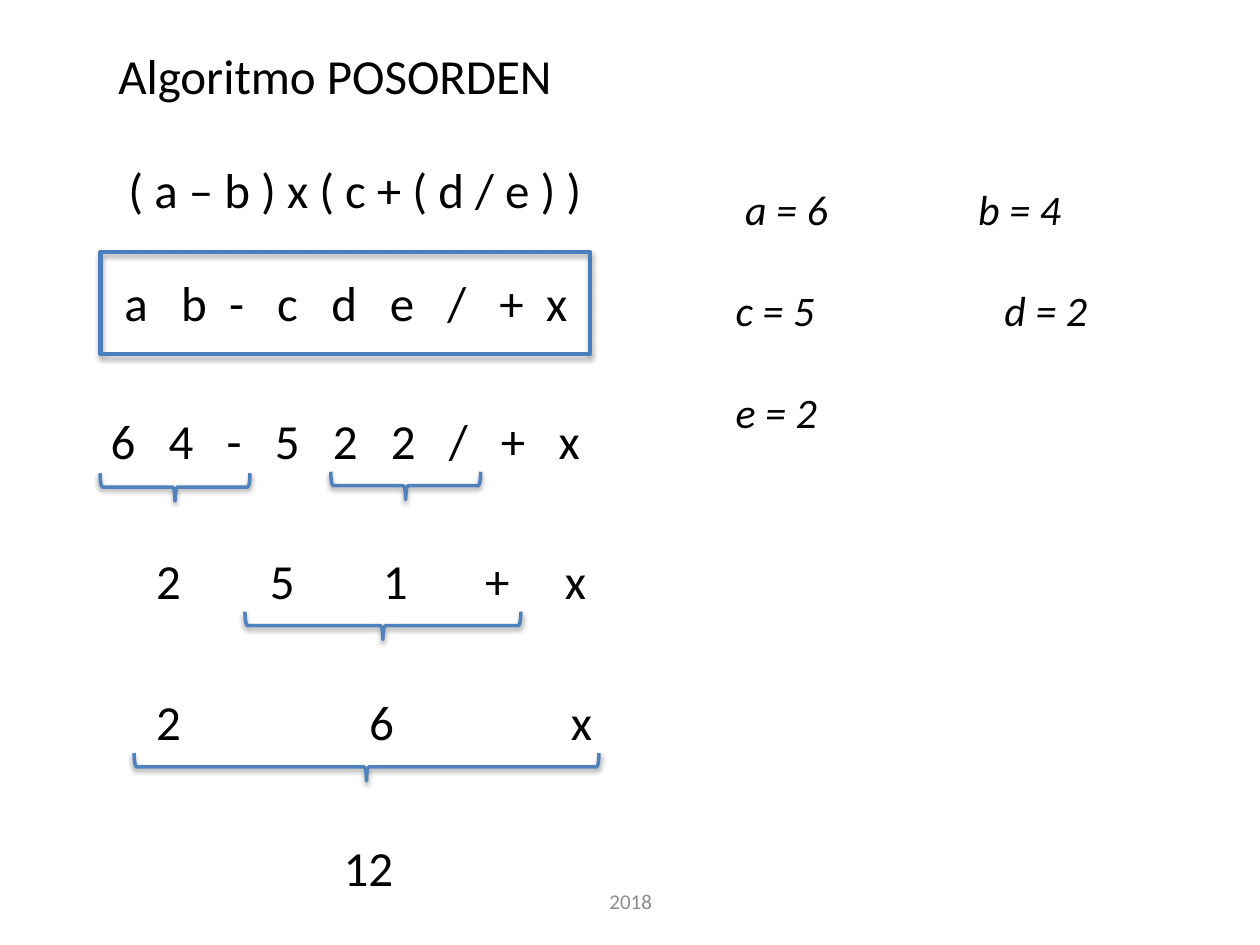
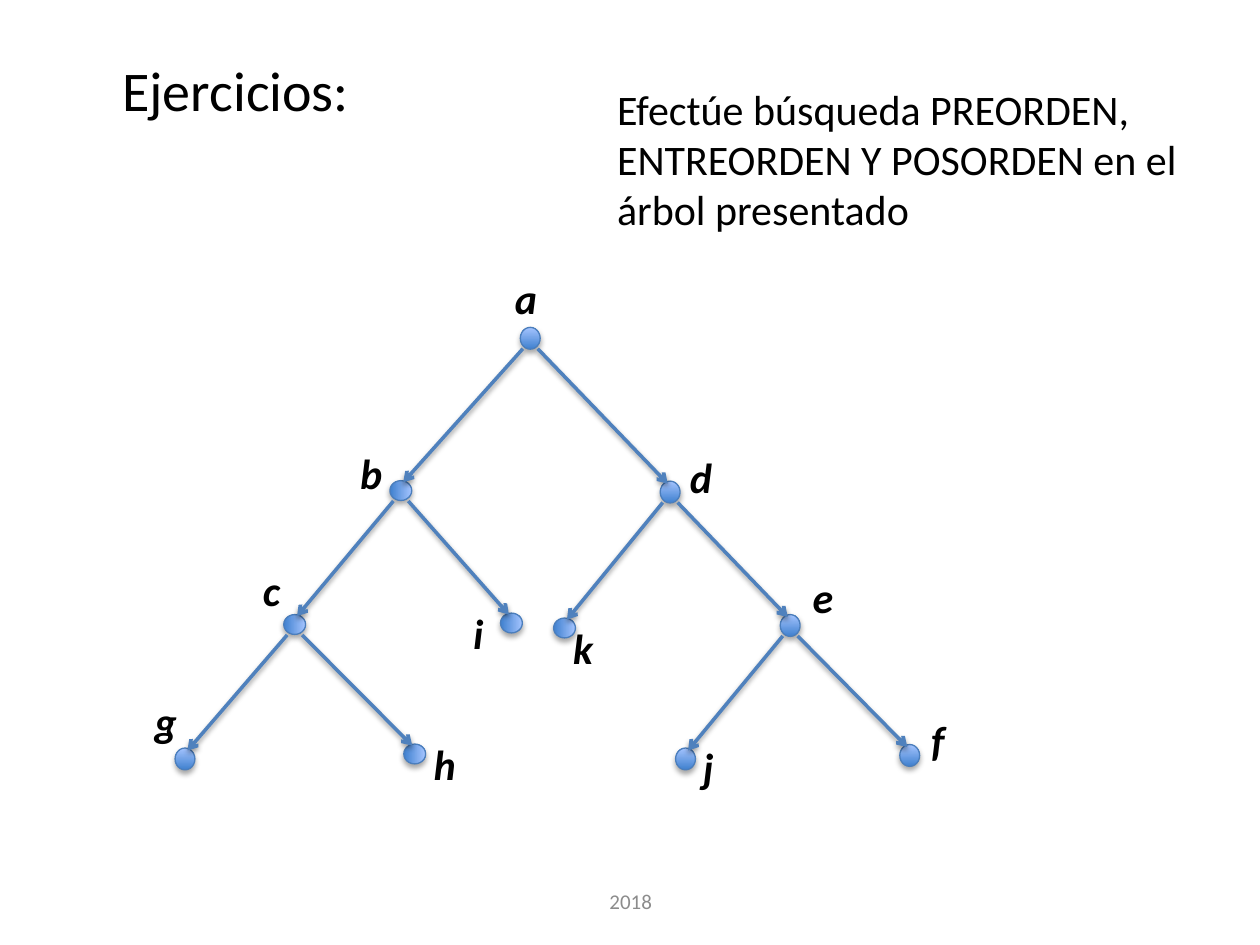
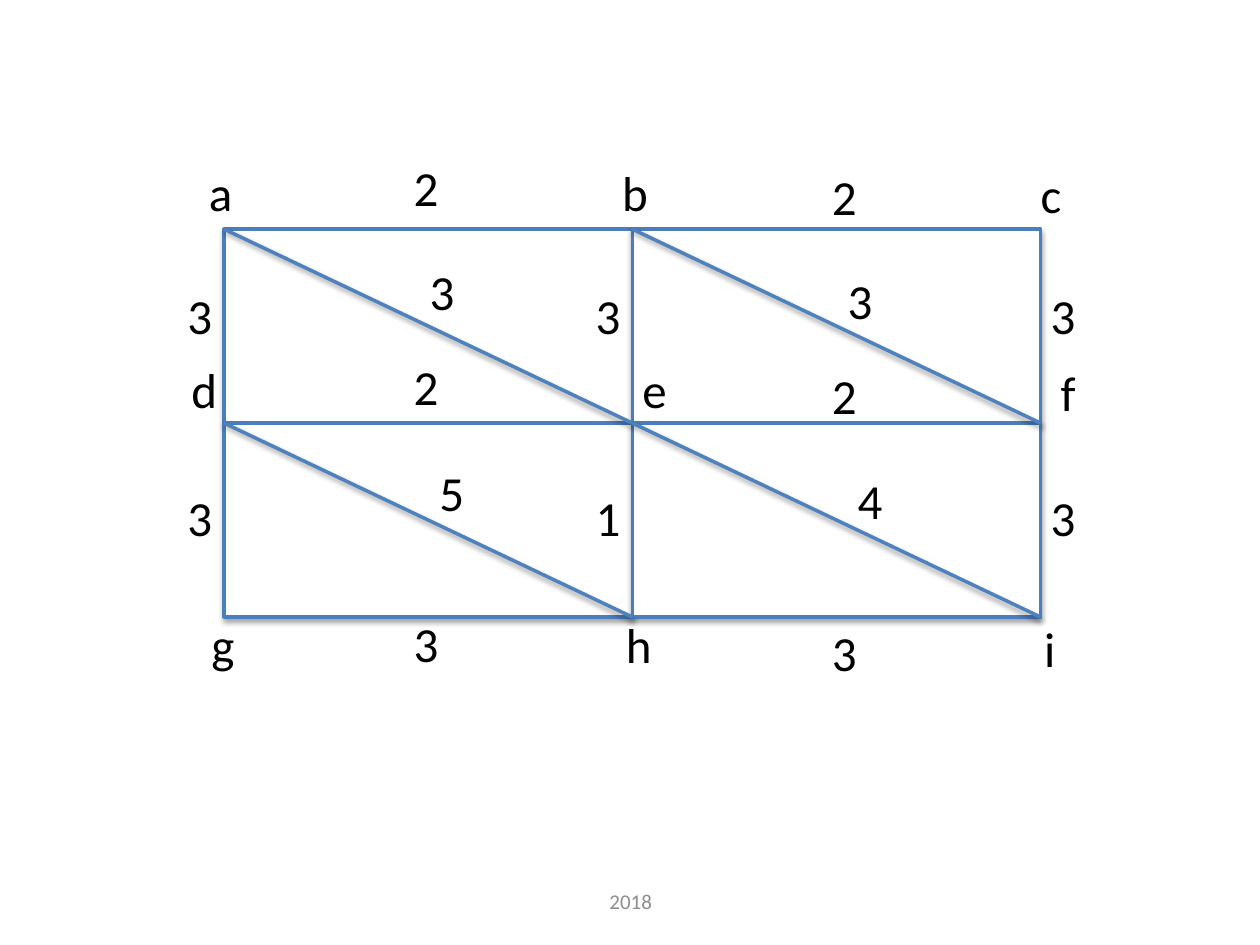
from dataclasses import dataclass

from lxml.etree import SubElement
from pptx import Presentation
from pptx.dml.color import RGBColor
from pptx.enum.shapes import MSO_CONNECTOR as Connector, MSO_SHAPE as Shape
from pptx.enum.text import MSO_ANCHOR as Anchor, PP_ALIGN as Align
from pptx.oxml.ns import qn
from pptx.util import Cm, Pt


@dataclass(frozen=True)
class Theme:
    """Colours, font, sizes and line widths of the deck."""
    font: str = "Calibri"
    ink: str = "000000"
    paper: str = "FFFFFF"
    muted: str = "8C8C8C"
    outline: str = "4B7EBC"
    stroke: str = "4F81BD"
    node_dark: str = "3F80CE"
    node_light: str = "A4C4FF"
    title: int = 32
    body: int = 28
    note: int = 24
    footer: int = 12
    thin: float = 0.75
    line: float = 2
    frame: float = 2.5


@dataclass(frozen=True)
class Box:
    """A rectangle in centimetres."""
    left: float
    top: float
    width: float
    height: float

    def inner(self, x, y, width, height):
        """Return a box placed relative to this one."""
        return Box(self.left + x, self.top + y, width, height)

    def lengths(self):
        """Return the four lengths for python-pptx."""
        return [Cm(value) for value in (self.left, self.top, self.width, self.height)]


THEME = Theme()
TITLE_ONLY, BLANK = 5, 6
LABEL_SIZE = (1.7, 1.45)

FORMULA_ROWS = [
    (0.36, 0, [(0, "( a – b ) x ( c + ( d / e ) )")]),
    (0.28, 2.26, [(0, "a"), (1.14, "b"), (2.11, "-"), (3.08, "c"), (4.17, "d"),
                  (5.35, "e"), (6.51, "/"), (7.56, "+"), (8.5, "x")]),
    (0, 5.05, [(0, "6"), (1.17, "4"), (2.34, "-"), (3.31, "5"), (4.48, "2"),
               (5.65, "2"), (6.82, "/"), (7.87, "+"), (9.03, "x")]),
    (0.92, 7.87, [(0, "2"), (2.29, "5"), (4.57, "1"), (6.63, "+"), (8.24, "x")]),
    (0.92, 10.72, [(0, "2"), (4.29, "6"), (8.36, "x")]),
    (4.7, 13.66, [(0, "12")]),
]
BRACES = [(1.55, 6.72, 3.02), (6.2, 6.69, 3.02), (5.74, 9.51, 5.56), (5.41, 12.36, 9.37)]
VARIABLE_ROWS = [
    [(0.19, "a = 6"), (4.89, "b = 4")],
    [(0, "c = 5"), (5.42, "d = 2")],
    [(0, "e = 2")],
]

NODES = {
    "a": (7.69, 1.82, -0.56, -1.46),
    "b": (5.08, 4.89, -1.07, -1),
    "c": (2.94, 7.59, -0.89, -1.33),
    "d": (10.51, 4.92, 0.15, -0.95),
    "e": (12.93, 7.61, 0.2, -1.21),
    "f": (15.34, 10.23, 0.18, -0.95),
    "g": (0.73, 10.3, -0.86, -1.41),
    "h": (5.36, 10.2, 0.13, -0.44),
    "i": (7.31, 7.56, -1.02, -0.44),
    "j": (10.82, 10.3, 0.1, -0.47),
    "k": (8.38, 7.66, -0.08, -0.24),
}
TURNED_NODES = "bchik"
BRANCHES = ["ab", "ad", "bc", "bi", "dk", "de", "cg", "ch", "ej", "ef"]

PAIRED_WEIGHTS = [(3.57, -1.57, "22"), (3.57, 2.44, "22"), (3.57, 7.62, "33"),
                  (3.89, 0.53, "33"), (4.09, 4.57, "54")]
UPRIGHT_WEIGHTS = [(-0.99, "33"), (7.24, "31"), (16.41, "33")]
VERTICES = [
    ("a", -0.56, -1.47), ("b", 7.77, -1.47), ("c", 16.21, -1.42),
    ("d", -0.91, 2.51), ("e", 8.18, 2.51), ("f", 16.61, 2.57),
    ("g", -0.51, 7.65), ("h", 7.85, 7.65), ("i", 16.28, 7.72),
]


def rgb(value):
    """Turn a hex string into a colour."""
    return RGBColor.from_string(value)


def format_runs(para, size, color=THEME.ink, bold=False, italic=False):
    """Apply the deck font to every run of a paragraph."""
    for span in para.runs:
        span.font.name = THEME.font
        span.font.size = Pt(size)
        span.font.color.rgb = rgb(color)
        span.font.bold = bold
        span.font.italic = italic


def set_cells(para, cells):
    """Write cells at tab stops given in centimetres."""
    stops = [offset for offset, _ in cells if offset]
    if stops:
        tab_list = SubElement(para._p.get_or_add_pPr(), qn("a:tabLst"))
        for offset in stops:
            SubElement(tab_list, qn("a:tab"), pos=str(Cm(offset)), algn="l")
    para.text = "".join(("\t" if offset else "") + text for offset, text in cells)


def add_text(page, box, text, size, align=Align.LEFT, anchor=Anchor.TOP, **style):
    """Add a wrapped text box with one paragraph."""
    frame = page.shapes.add_textbox(*box.lengths()).text_frame
    frame.word_wrap = True
    frame.vertical_anchor = anchor
    para = frame.paragraphs[0]
    para.text = text
    para.alignment = align
    format_runs(para, size, **style)


def add_rows(page, box, rows, size, gap=0, **style):
    """Add a text box with one tabbed paragraph per row."""
    frame = page.shapes.add_textbox(*box.lengths()).text_frame
    frame.word_wrap = True
    for index, cells in enumerate(rows):
        para = frame.add_paragraph() if index else frame.paragraphs[0]
        set_cells(para, cells)
        if index:
            para.space_before = Pt(gap)
        format_runs(para, size, **style)


def add_shadow(effects, opacity, distance):
    """Add a soft downward shadow to an effect list."""
    shadow = SubElement(effects, qn("a:outerShdw"), blurRad=str(Pt(3.1)),
                        dist=str(Pt(distance)), dir="5400000", rotWithShape="0")
    color = SubElement(shadow, qn("a:srgbClr"), val=THEME.ink)
    SubElement(color, qn("a:alpha"), val=str(opacity * 1000))


def add_outline(page, kind, box, width, color=THEME.outline, opacity=35, distance=1.8):
    """Add an unfilled preset shape with a shadow."""
    shape = page.shapes.add_shape(kind, *box.lengths())
    shape.fill.background()
    shape.line.color.rgb = rgb(color)
    shape.line.width = Pt(width)
    shape.shadow.inherit = False
    add_shadow(shape._element.spPr.find(qn("a:effectLst")), opacity, distance)
    return shape


def add_line(page, start, end, arrow=False):
    """Add a shadowed straight line between two points."""
    points = [Cm(value) for value in (*start, *end)]
    line = page.shapes.add_connector(Connector.STRAIGHT, *points)
    line.line.color.rgb = rgb(THEME.stroke)
    line.line.width = Pt(THEME.line)
    if arrow:
        SubElement(line.line._get_or_add_ln(), qn("a:tailEnd"), type="arrow")
    add_shadow(SubElement(line._element.spPr, qn("a:effectLst")), 38, 1.6)


def add_title(page, box, text, size):
    """Move and format the title placeholder."""
    title = page.shapes.title
    title.left, title.top, title.width, title.height = box.lengths()
    frame = title.text_frame
    frame.text = text
    frame.word_wrap = True
    frame.vertical_anchor = Anchor.TOP
    frame.paragraphs[0].alignment = Align.LEFT
    format_runs(frame.paragraphs[0], size)


def add_page(deck, layout):
    """Add a slide with the shared footer."""
    page = deck.slides.add_slide(deck.slide_layouts[layout])
    add_text(page, Box(8.69, 17.65, 8.05, 1.02), "2018", THEME.footer,
             Align.CENTER, Anchor.MIDDLE, color=THEME.muted)
    return page


def add_brace(page, box, center_x, center_y, length):
    """Add a brace that points down below a group of symbols."""
    depth = 0.56
    area = box.inner(center_x - depth / 2, center_y - length / 2, depth, length)
    brace = add_outline(page, Shape.LEFT_BRACE, area, THEME.line, THEME.stroke, 38, 1.6)
    brace.rotation = 270


def draw_evaluation(page, box):
    """Draw the step-by-step evaluation of the expression."""
    for x, y, cells in FORMULA_ROWS:
        add_rows(page, box.inner(x, y, box.width, 1.45), [cells], THEME.body)
    for brace in BRACES:
        add_brace(page, box, *brace)
    add_outline(page, Shape.RECTANGLE, box.inner(0.05, 1.98, 9.86, 2.06), THEME.frame)


def draw_node(page, box, name):
    """Draw one tree node with its label."""
    x, y, label_x, label_y = NODES[name]
    area = box.inner(x - 0.2, y - 0.22, 0.4, 0.44)
    node = add_outline(page, Shape.OVAL, area, THEME.thin)
    node.fill.gradient()
    node.fill.gradient_angle = 90
    for stop, color in zip(node.fill.gradient_stops, (THEME.node_dark, THEME.node_light)):
        stop.color.rgb = rgb(color)
    node.rotation = 90 if name in TURNED_NODES else 0
    add_text(page, box.inner(x + label_x, y + label_y, 1.7, 1.27), name,
             THEME.note, bold=True, italic=True)


def draw_tree(page, box):
    """Draw the nodes and the arrows of the binary tree."""
    for name in NODES:
        draw_node(page, box, name)
    for parent, child in BRANCHES:
        start_x, start_y = NODES[parent][:2]
        end_x, end_y = NODES[child][:2]
        side = 1 if end_x > start_x else -1
        add_line(page,
                 (box.left + start_x + side * 0.15, box.top + start_y + 0.21),
                 (box.left + end_x - side * 0.05, box.top + end_y - 0.17),
                 arrow=True)


def draw_graph(page, box):
    """Draw the weighted graph as a two by two grid with diagonals."""
    width, height = box.width / 2, box.height / 2
    cells = [box.inner(column * width, row * height, width, height)
             for row in range(2) for column in range(2)]
    for cell in cells:
        block = add_outline(page, Shape.RECTANGLE, cell, THEME.line)
        block.fill.solid()
        block.fill.fore_color.rgb = rgb(THEME.paper)
    for cell in cells:
        add_line(page, (cell.left, cell.top), (cell.left + width, cell.top + height))
    labels = list(VERTICES)
    for x, y, weights in PAIRED_WEIGHTS:
        labels += [(weight, x + column * 8.43, y + column * 0.18)
                   for column, weight in enumerate(weights)]
    for x, weights in UPRIGHT_WEIGHTS:
        labels += [(weight, x, 1.02 + row * 4.06) for row, weight in enumerate(weights)]
    for text, x, y in labels:
        add_text(page, box.inner(x, y, *LABEL_SIZE), text, THEME.body)


def build_postorder(deck):
    """Build the postorder slide."""
    page = add_page(deck, TITLE_ONLY)
    add_title(page, Box(2.13, 0.79, 12.14, 1.45), "Algoritmo POSORDEN", THEME.body)
    draw_evaluation(page, Box(1.98, 3.1, 12.55, 15.11))
    add_rows(page, Box(14.58, 3.58, 8.03, 5.38), VARIABLE_ROWS, THEME.note,
             gap=29, italic=True)


def build_exercises(deck):
    """Build the tree exercise slide."""
    page = add_page(deck, TITLE_ONLY)
    add_title(page, Box(2.21, 0.99, 8.86, 1.63), "Ejercicios:", THEME.title)
    add_text(page, Box(12.19, 1.55, 12.37, 3.33),
             "Efectúe búsqueda PREORDEN, ENTREORDEN Y POSORDEN en el árbol presentado",
             THEME.note)
    draw_tree(page, Box(3, 5, 17, 11))


def build_graph(deck):
    """Build the weighted graph slide."""
    draw_graph(add_page(deck, BLANK), Box(4.52, 4.62, 16.46, 7.82))


def main():
    """Build and save the deck."""
    deck = Presentation()
    deck.slide_width, deck.slide_height = Cm(25.4), Cm(19.05)
    build_postorder(deck)
    build_exercises(deck)
    build_graph(deck)
    deck.save("out.pptx")


if __name__ == "__main__":
    main()
